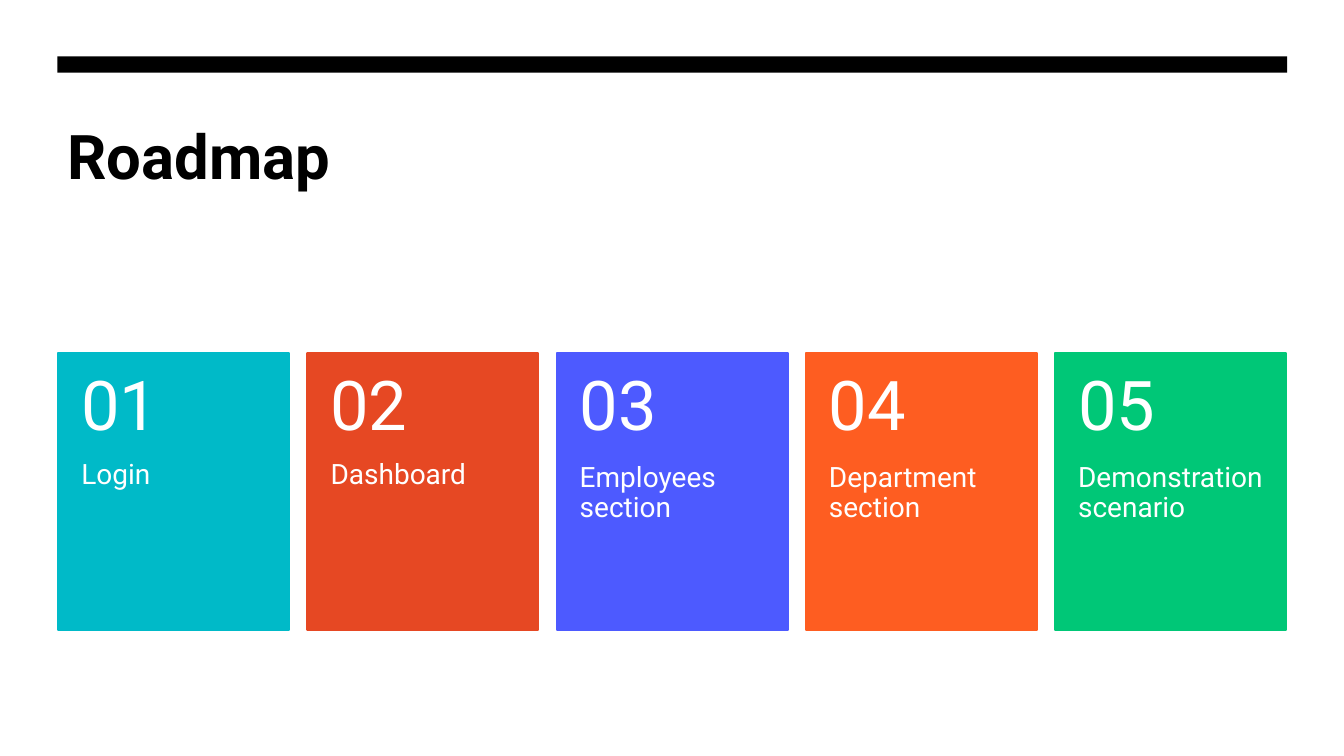
from pptx import Presentation
from pptx.dml.color import RGBColor
from pptx.enum.shapes import MSO_SHAPE
from pptx.enum.text import MSO_ANCHOR
from pptx.util import Cm, Pt

RECT = MSO_SHAPE.RECTANGLE
TOP = MSO_ANCHOR.TOP
MIDDLE = MSO_ANCHOR.MIDDLE

COLORS = {
    "white": "FFFFFF",
    "black": "000000",
    "teal": "00BAC8",
    "red": "E64823",
    "blue": "4D5AFF",
    "orange": "FE5D21",
    "green": "00C777",
}

STEPS = [
    ("Login", "teal"),
    ("Dashboard", "red"),
    ("Employees section", "blue"),
    ("Department section", "orange"),
    ("Demonstration scenario", "green"),
]

# Card grid, in centimetres
LEFT, STEP, WIDTH = 1.47, 6.28, 5.82
CARD_TOP, CARD_H, HEAD_H = 8.89, 6.99, 2.79


class Board:
    font = "Roboto"

    def __init__(self, slide):
        self.slide = slide
        fill = slide.background.fill
        fill.solid()
        fill.fore_color.rgb = self.color("white")

    def color(self, name):
        return RGBColor.from_string(COLORS[name])

    def block(self, x, y, w, h, color, line=0):
        shape = self.slide.shapes.add_shape(RECT, Cm(x), Cm(y), Cm(w), Cm(h))
        shape.shadow.inherit = False
        shape.fill.solid()
        shape.fill.fore_color.rgb = self.color(color)
        if line:
            shape.line.color.rgb = self.color(color)
            shape.line.width = Pt(line)
        else:
            shape.line.fill.background()

    def text(self, x, y, w, h, words, size, color="white", bold=False,
             anchor=TOP, insets=(0.25, 0.25, 0.25, 0.13), spacing=1.0, after=0):
        box = self.slide.shapes.add_textbox(Cm(x), Cm(y), Cm(w), Cm(h))
        frame = box.text_frame
        frame.word_wrap = True
        frame.vertical_anchor = anchor
        (frame.margin_left, frame.margin_top,
         frame.margin_right, frame.margin_bottom) = map(Cm, insets)
        para = frame.paragraphs[0]
        para.text = words
        para.line_spacing = spacing
        para.space_after = Pt(after)
        para.font.name = self.font
        para.font.size = Pt(size)
        para.font.bold = bold
        para.font.color.rgb = self.color(color)

    def card(self, index, label, color):
        x = LEFT + index * STEP
        self.block(x, CARD_TOP, WIDTH, CARD_H, color, line=1.5)
        self.text(x, CARD_TOP + HEAD_H, WIDTH, CARD_H - HEAD_H, label, 20,
                  insets=(0.58, 0, 0.58, 0.91), spacing=0.9, after=7)
        self.text(x, CARD_TOP, WIDTH, HEAD_H, f"{index + 1:02}", 49,
                  anchor=MIDDLE, insets=(0.58, 0.46, 0.58, 0.46),
                  spacing=0.9, after=17)


def main():
    deck = Presentation()
    deck.slide_width, deck.slide_height = Cm(33.87), Cm(19.05)
    board = Board(deck.slides.add_slide(deck.slide_layouts[6]))

    # Title and top bar
    board.text(1.45, 2.72, 30.99, 4.06, "Roadmap", 44, "black", bold=True)
    board.block(1.45, 1.42, 30.99, 0.41, "black")

    # Numbered steps
    for index, (label, color) in enumerate(STEPS):
        board.card(index, label, color)

    deck.save("out.pptx")


if __name__ == "__main__":
    main()
